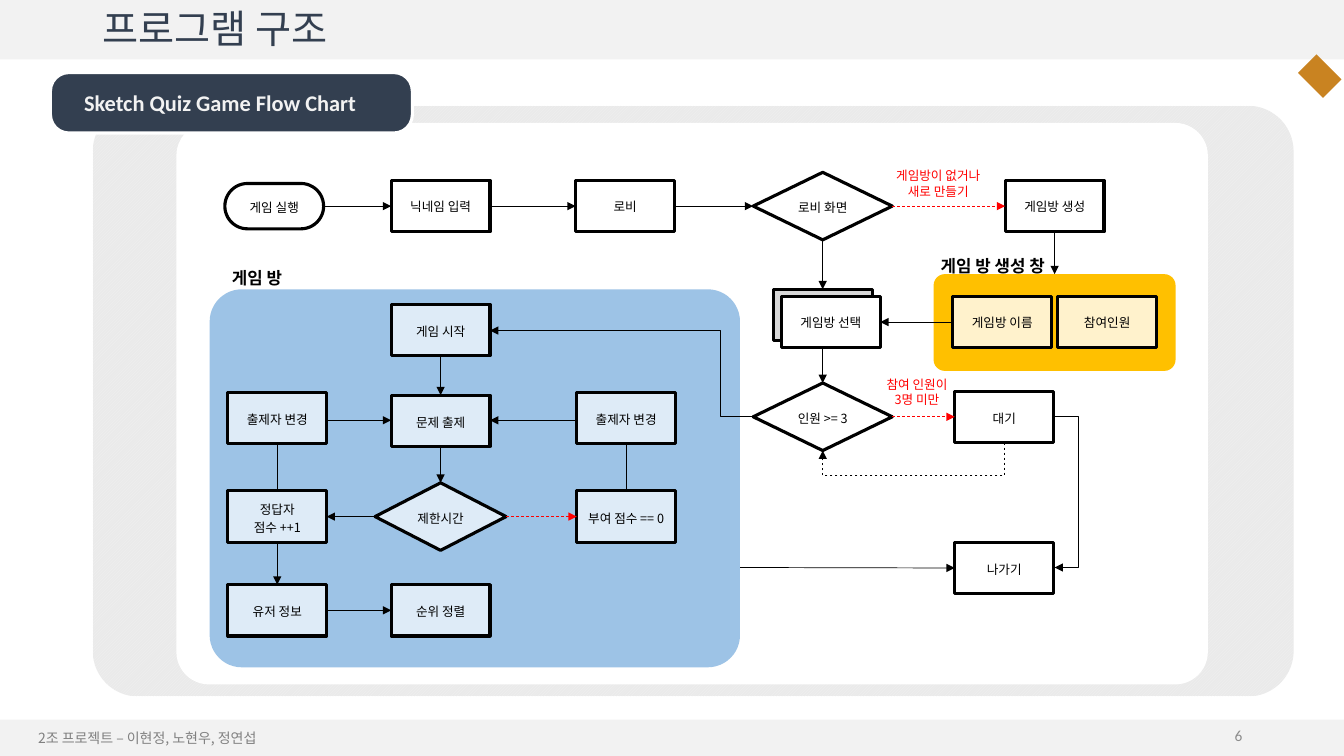
from lxml import etree
from pptx import Presentation
from pptx.dml.color import RGBColor
from pptx.enum.dml import MSO_LINE, MSO_PATTERN
from pptx.enum.shapes import MSO_CONNECTOR, MSO_SHAPE
from pptx.enum.text import MSO_ANCHOR, PP_ALIGN
from pptx.oxml.ns import qn
from pptx.util import Inches, Pt

RECTANGLE, ROUNDED, DIAMOND = MSO_SHAPE.RECTANGLE, MSO_SHAPE.ROUNDED_RECTANGLE, MSO_SHAPE.DIAMOND
STRAIGHT, ELBOW = MSO_CONNECTOR.STRAIGHT, MSO_CONNECTOR.ELBOW
LEFT_ALIGN, CENTER, RIGHT_ALIGN = PP_ALIGN.LEFT, PP_ALIGN.CENTER, PP_ALIGN.RIGHT
MIDDLE, TOP_ANCHOR = MSO_ANCHOR.MIDDLE, MSO_ANCHOR.TOP
TOP, LEFT, BOTTOM, RIGHT = range(4)

WHITE = RGBColor(0xFF, 0xFF, 0xFF)
BLACK = RGBColor(0x00, 0x00, 0x00)
RED = RGBColor(0xFF, 0x00, 0x00)
NAVY = RGBColor(0x33, 0x3F, 0x50)
BAND_GRAY = RGBColor(0xF2, 0xF2, 0xF2)
PANEL_GRAY = RGBColor(0xEA, 0xEA, 0xEA)
STACK_GRAY = RGBColor(0xD9, 0xD9, 0xD9)
FOOTER_GRAY = RGBColor(0x80, 0x80, 0x80)
NUMBER_GRAY = RGBColor(0x8C, 0x8C, 0x8C)
ORANGE = RGBColor(0xC9, 0x83, 0x21)
ROOM_BLUE = RGBColor(0x9D, 0xC3, 0xE6)
NODE_BLUE = RGBColor(0xDE, 0xEB, 0xF7)
YELLOW = RGBColor(0xFF, 0xC0, 0x00)
NODE_YELLOW = RGBColor(0xFF, 0xF2, 0xCC)

KOREAN, LATIN = "Noto Sans CJK KR", "Calibri"
NODE_WIDTH, NODE_HEIGHT, DIAMOND_HEIGHT = 0.98, 0.51, 0.67


def write(shape, text, size, color, font=KOREAN, bold=False, align=LEFT_ALIGN,
          spacing=None, anchor=MIDDLE, insets=(0.1, 0.05, 0.1, 0.05)):
    frame = shape.text_frame
    frame.text = text
    frame.word_wrap = True
    frame.vertical_anchor = anchor
    (frame.margin_left, frame.margin_top,
     frame.margin_right, frame.margin_bottom) = map(Inches, insets)
    for paragraph in frame.paragraphs:
        paragraph.alignment = align
        paragraph.line_spacing = spacing
        for run in paragraph.runs:
            run.font.size = Pt(size)
            run.font.bold = bold
            run.font.color.rgb = color
            run.font.name = font
            etree.SubElement(run.font._element, qn("a:ea"), typeface=font)


def add_text(slide, text, box, size, color, **style):
    write(slide.shapes.add_textbox(*map(Inches, box)), text, size, color, **style)


def add_block(slide, kind, box, fill, outline=None, corner=None):
    shape = slide.shapes.add_shape(kind, *map(Inches, box))
    shape.shadow.inherit = False
    shape.fill.solid()
    shape.fill.fore_color.rgb = fill
    if outline is None:
        shape.line.fill.background()
    else:
        shape.line.color.rgb = outline
        shape.line.width = Pt(2.25)
    if corner is not None:
        shape.adjustments[0] = corner
    return shape


def add_node(slide, text, left, top, fill=WHITE, kind=RECTANGLE, width=NODE_WIDTH,
             height=NODE_HEIGHT, spacing=13, corner=None):
    node = add_block(slide, kind, (left, top, width, height), fill, BLACK, corner)
    write(node, text, 9, BLACK, align=CENTER, spacing=Pt(spacing), insets=(0, 0.05, 0, 0.05))
    return node


def style_arrow(connector, color, dashed):
    connector.line.color.rgb = color
    connector.line.width = Pt(0.5)
    if dashed:
        connector.line.dash_style = MSO_LINE.DASH
    properties = connector.element.spPr
    etree.SubElement(properties.find(qn("a:ln")), qn("a:tailEnd"), type="triangle")
    etree.SubElement(properties, qn("a:effectLst"))


def add_arrow(slide, source, source_side, target, target_side, color=BLACK, dashed=False):
    connector = slide.shapes.add_connector(STRAIGHT, 0, 0, 0, 0)
    connector.begin_connect(source, source_side)
    connector.end_connect(target, target_side)
    style_arrow(connector, color, dashed)


def add_elbow(slide, start, end, detour=None, upright=False, dashed=False):
    """Bend after detour inches, or once at the corner; upright sets off vertically."""
    span = abs(end[0] - start[0])
    if upright:
        span = abs(end[1] - start[1])
        center_x, center_y = (start[0] + end[0]) / 2, (start[1] + end[1]) / 2
        start, end = ((center_x + y - center_y, center_y - x + center_x) for x, y in (start, end))
    connector = slide.shapes.add_connector(ELBOW, *map(Inches, (*start, *end)))
    if upright:
        connector.element.spPr.find(qn("a:xfrm")).set("rot", "5400000")
    geometry = connector.element.spPr.find(qn("a:prstGeom"))
    if detour is None:
        geometry.set("prst", "bentConnector2")
    else:
        etree.SubElement(geometry.find(qn("a:avLst")), qn("a:gd"), name="adj1",
                         fmla=f"val {round(detour / span * 100000)}")
    style_arrow(connector, BLACK, dashed)


def add_heading(slide, text, left, top):
    add_text(slide, text, (left, top, 1.32, 0.27), 12, BLACK, bold=True, spacing=1.5,
             anchor=TOP_ANCHOR, insets=(0, 0, 0, 0))


def add_condition(slide, text, left, top):
    add_text(slide, text, (left, top, 1.33, 0.3), 9, RED, align=CENTER,
             anchor=TOP_ANCHOR, insets=(0, 0, 0, 0))


def draw_title(slide, box):
    title = slide.shapes.title
    title.left, title.top, title.width, title.height = map(Inches, box)
    slide.shapes[-1].element.addnext(title.element)
    title.text_frame.text = "프로그램 구조"
    properties = title.text_frame.paragraphs[0]._p.get_or_add_pPr()
    properties.set("marL", str(Inches(0.5)))
    properties.set("indent", str(-Inches(0.5)))
    bullet = etree.SubElement(properties, qn("a:buChar"), char="❖")
    write_format = dict(spacing=0.9, insets=(0.1, 0.05, 0.1, 0.05))
    write(title, title.text_frame.text, 28, NAVY, **write_format)
    if bullet.getparent() is None:
        title.text_frame.paragraphs[0]._p.get_or_add_pPr().append(bullet)


def draw_frame(slide, width, height):
    add_block(slide, RECTANGLE, (0, height - 0.36, width, 0.36), BAND_GRAY)
    add_block(slide, RECTANGLE, (0, 0, width, 0.59), BAND_GRAY)
    add_block(slide, RECTANGLE, (width - 0.37, 0.58, 0.26, 0.35), ORANGE).rotation = 315
    add_text(slide, "2조 프로젝트 – 이현정, 노현우, 정연섭", (0.28, height - 0.31, 4.03, 0.27),
             10, FOOTER_GRAY, anchor=TOP_ANCHOR)
    panel = add_block(slide, ROUNDED, (0.92, 1.05, 11.91, 5.86), PANEL_GRAY, corner=0.077)
    panel.fill.patterned()
    panel.fill.pattern = MSO_PATTERN.DARK_UPWARD_DIAGONAL
    panel.fill.fore_color.rgb = BAND_GRAY
    panel.fill.back_color.rgb = PANEL_GRAY
    add_block(slide, ROUNDED, (1.75, 1.22, 10.23, 5.57), WHITE, corner=0.058)
    tag = add_block(slide, ROUNDED, (0.5, 0.72, 3.59, 0.6), NAVY, WHITE, 0.306)
    write(tag, "Sketch Quiz Game Flow Chart", 16, BAND_GRAY, font=LATIN, bold=True,
          insets=(0.28, 0.05, 0.1, 0.05))
    draw_title(slide, (0.92, 0.02, 11.5, 0.57))
    add_text(slide, "6", (9.42, height - 0.4, 3, 0.4), 11, NUMBER_GRAY, font=LATIN,
             align=RIGHT_ALIGN)


def draw_lobby(slide, left, top):
    launch = add_node(slide, "게임 실행", left, top + 0.11, kind=ROUNDED, height=0.45, corner=0.5)
    nickname, lobby, create = (
        add_node(slide, text, left + offset, top + 0.08, spacing=12)
        for text, offset in (("닉네임 입력", 1.65), ("로비", 3.48), ("게임방 생성", 7.74)))
    screen = add_node(slide, "로비 화면", left + 5.24, top, kind=DIAMOND, width=1.38,
                      height=DIAMOND_HEIGHT)
    for source, target in ((launch, nickname), (nickname, lobby), (lobby, screen)):
        add_arrow(slide, source, RIGHT, target, LEFT)
    add_arrow(slide, screen, RIGHT, create, LEFT, RED, True)
    add_condition(slide, "게임방이 없거나\n새로 만들기", left + 6.41, top - 0.04)
    return screen, create


def draw_game_room(slide, left, top):
    add_heading(slide, "게임 방", left + 0.22, top - 0.31)
    add_block(slide, ROUNDED, (left, top, 5.26, 3.75), ROOM_BLUE, corner=0.085)
    columns = [left + offset for offset in (0.18, 1.8, 3.64)]
    middles = [column + NODE_WIDTH / 2 for column in columns]
    question_y = top + 1.3
    for column, edge in ((0, columns[1]), (2, columns[1] + NODE_WIDTH)):
        add_elbow(slide, (middles[column], top + 2), (edge, question_y), upright=True)
    begin, question, _, _, answer, score, users, ranking = (
        add_node(slide, text, columns[column], top + offset, NODE_BLUE)
        for text, column, offset in (
            ("게임 시작", 1, 0.15), ("문제 출제", 1, 1.05), ("출제자 변경", 0, 1.02),
            ("출제자 변경", 2, 1.02), ("정답자\n점수 ++1", 0, 2), ("부여 점수 == 0", 2, 2),
            ("유저 정보", 0, 2.93), ("순위 정렬", 1, 2.93)))
    timer = add_node(slide, "제한시간", left + 1.64, top + 1.92, NODE_BLUE, DIAMOND, 1.3,
                     DIAMOND_HEIGHT)
    for source, target in ((begin, question), (question, timer), (answer, users)):
        add_arrow(slide, source, BOTTOM, target, TOP)
    add_arrow(slide, timer, LEFT, answer, RIGHT)
    add_arrow(slide, timer, RIGHT, score, LEFT, RED, True)
    add_arrow(slide, users, RIGHT, ranking, LEFT)


def draw_room_choice(slide, left, top, screen, create):
    """Room setup, room choice and head count, fed by the lobby screen and room creation."""
    setup = add_block(slide, ROUNDED, (left + 1.79, top, 2.4, 0.96), YELLOW, corner=0.116)
    add_heading(slide, "게임 방 생성 창", left + 1.86, top - 0.28)
    name, _ = (add_node(slide, text, left + offset, top + 0.22, NODE_YELLOW, spacing=12)
               for text, offset in (("게임방 이름", 1.98), ("참여인원", 3.02)))
    stack = add_block(slide, RECTANGLE, (left + 0.2, top + 0.15, NODE_WIDTH, NODE_HEIGHT),
                      STACK_GRAY, BLACK)
    count = add_node(slide, "인원 >= 3", left, top + 1.08, kind=DIAMOND, width=1.38,
                     height=DIAMOND_HEIGHT)
    add_arrow(slide, stack, BOTTOM, count, TOP)
    choice = add_node(slide, "게임방 선택", left + 0.28, top + 0.22, spacing=12)
    wait, leave = (add_node(slide, text, left + 2, top + offset)
                   for text, offset in (("대기", 1.16), ("나가기", 2.66)))
    add_arrow(slide, screen, BOTTOM, stack, TOP)
    add_arrow(slide, create, BOTTOM, setup, TOP)
    add_arrow(slide, name, LEFT, choice, RIGHT)
    add_arrow(slide, count, RIGHT, wait, LEFT, RED, True)
    add_condition(slide, "참여 인원이\n3명 미만", left + 0.96, top + 1.02)
    add_elbow(slide, (left, top + 1.41), (left - 2.61, top + 0.56), 0.33)
    add_elbow(slide, (left + 2.49, top + 1.67), (left + 0.69, top + 1.75), 0.33, True, True)
    add_elbow(slide, (left + 2.98, top + 1.41), (left + 2.99, top + 2.91), 0.25)
    exit_arrow = slide.shapes.add_connector(STRAIGHT, Inches(left - 0.13), Inches(top + 2.91), 0, 0)
    exit_arrow.end_connect(leave, LEFT)
    style_arrow(exit_arrow, BLACK, False)


def main():
    presentation = Presentation()
    presentation.slide_width, presentation.slide_height = Inches(13.33), Inches(7.5)
    slide = presentation.slides.add_slide(presentation.slide_layouts[5])
    draw_frame(slide, 13.33, 7.5)
    screen, create = draw_lobby(slide, 2.23, 1.71)
    draw_game_room(slide, 2.08, 2.87)
    draw_room_choice(slide, 7.47, 2.72, screen, create)
    presentation.save("out.pptx")


if __name__ == "__main__":
    main()
